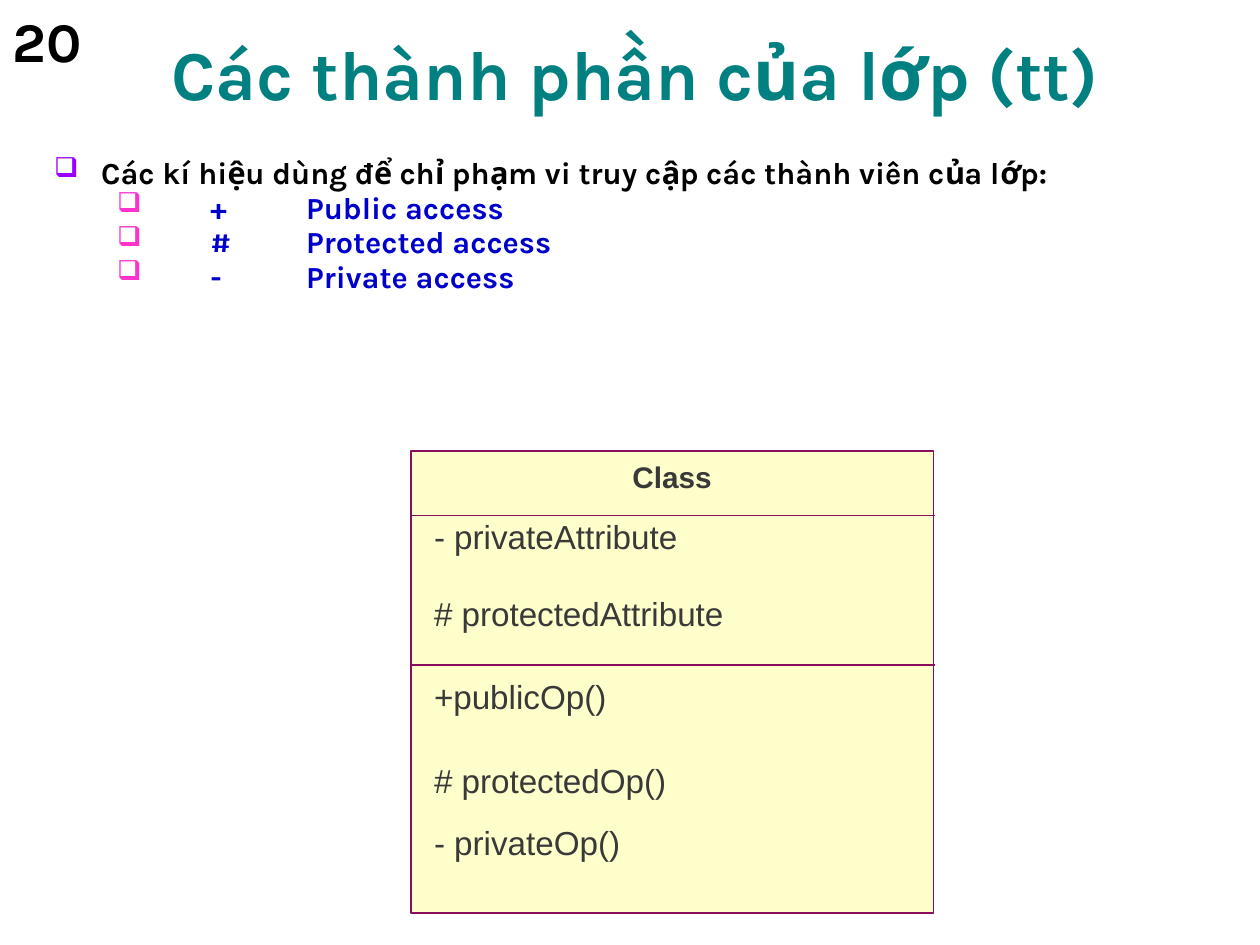
from lxml.etree import SubElement
from pptx import Presentation
from pptx.dml.color import RGBColor
from pptx.enum.shapes import MSO_CONNECTOR, MSO_SHAPE
from pptx.enum.text import MSO_ANCHOR, PP_ALIGN
from pptx.oxml.ns import qn
from pptx.util import Cm, Pt

COLORS = {
    "title": "008080",
    "black": "000000",
    "access": "0000CC",
    "bullet": "9900FF",
    "sub_bullet": "FF33CC",
    "class_fill": "FFFFCC",
    "class_line": "8A0E5E",
    "class_text": "393939",
}
FORMATS = {
    "title": {"name": "Karla", "size": Pt(40), "bold": True},
    "number": {"name": "Karla", "size": Pt(32), "bold": True},
    "body": {"name": "Karla", "size": Pt(17.5), "bold": True},
    "class": {"name": "Arial", "size": Pt(17), "bold": True},
    "member": {"name": "Arial", "size": Pt(19), "bold": False},
}


def add_span(para, text, style, color):
    span = para.add_run()
    span.text = text
    for name, value in FORMATS[style].items():
        setattr(span.font, name, value)
    span.font.color.rgb = RGBColor.from_string(COLORS[color])


def add_bullet(para, color, left, hanging, tab=None):
    properties = para._p.get_or_add_pPr()
    properties.set("marL", str(Cm(left)))
    properties.set("indent", str(-Cm(hanging)))
    bullet_color = SubElement(properties, qn("a:buClr"))
    SubElement(bullet_color, qn("a:srgbClr"), val=COLORS[color])
    SubElement(properties, qn("a:buSzPct"), val="90000")
    SubElement(properties, qn("a:buChar"), char="❑")
    if tab:
        tabs = SubElement(properties, qn("a:tabLst"))
        SubElement(tabs, qn("a:tab"), pos=str(Cm(tab)), algn="l")


deck = Presentation()
deck.slide_width = Cm(25.4)
deck.slide_height = Cm(19.05)
page = deck.slides.add_slide(deck.slide_layouts[6])

title = page.shapes.add_textbox(Cm(0.84), Cm(0.43), Cm(23.93), Cm(2.01))
title.text_frame.word_wrap = True
title.text_frame.vertical_anchor = MSO_ANCHOR.BOTTOM
para = title.text_frame.paragraphs[0]
para.alignment = PP_ALIGN.CENTER
add_span(para, "Các thành phần của lớp (tt)", "title", "title")

body = page.shapes.add_textbox(Cm(0.84), Cm(3.18), Cm(23.93), Cm(3.18))
body.text_frame.word_wrap = True
para = body.text_frame.paragraphs[0]
add_bullet(para, "bullet", 0.95, 0.95)
para.line_spacing = 0.7
add_span(para, "Các kí hiệu dùng để chỉ phạm vi truy cập các thành viên của lớp:", "body", "black")
for symbol, access in (("+", "Public"), ("#", "Protected"), ("-", "Private")):
    para = body.text_frame.add_paragraph()
    para.level = 1
    add_bullet(para, "sub_bullet", 3.15, 1.88, tab=5.08)
    para.line_spacing = 0.6
    para.space_before = Pt(7)
    add_span(para, f"{symbol}\t{access} access", "body", "access")

diagram = page.shapes.add_group_shape()
frame = diagram.shapes.add_shape(MSO_SHAPE.RECTANGLE, Cm(8.28), Cm(9.09), Cm(10.54), Cm(9.32))
frame.shadow.inherit = False
frame.fill.solid()
frame.fill.fore_color.rgb = RGBColor.from_string(COLORS["class_fill"])
frame.line.color.rgb = RGBColor.from_string(COLORS["class_line"])
frame.line.width = Pt(1)

for text, top, width in (
    ("- privateAttribute", 10.29, 5.41),
    ("# protectedAttribute", 11.84, 6.35),
    ("+publicOp()", 13.51, 3.99),
    ("# protectedOp()", 15.21, 5.21),
    ("- privateOp()", 16.46, 4.27),
):
    box = diagram.shapes.add_textbox(Cm(8.5), Cm(top), Cm(width), Cm(1.07))
    box.fill.solid()
    box.fill.fore_color.rgb = RGBColor.from_string(COLORS["class_fill"])
    box.text_frame.word_wrap = False
    add_span(box.text_frame.paragraphs[0], text, "member", "class_text")

for top in (10.39, 13.41):
    divider = diagram.shapes.add_connector(MSO_CONNECTOR.STRAIGHT, Cm(8.26), Cm(top), Cm(18.85), Cm(top))
    divider.line.color.rgb = RGBColor.from_string(COLORS["class_line"])
    divider.line.width = Pt(1)
    SubElement(divider._element.spPr, qn("a:effectLst"))

heading = diagram.shapes.add_textbox(Cm(8.33), Cm(9.12), Cm(10.44), Cm(0.97))
heading.text_frame.word_wrap = True
para = heading.text_frame.paragraphs[0]
para.alignment = PP_ALIGN.CENTER
add_span(para, "Class", "class", "class_text")

number = page.shapes.add_textbox(Cm(0), Cm(0), Cm(2.74), Cm(1.8))
number.text_frame.word_wrap = True
add_span(number.text_frame.paragraphs[0], "20", "number", "black")

deck.save("out.pptx")
